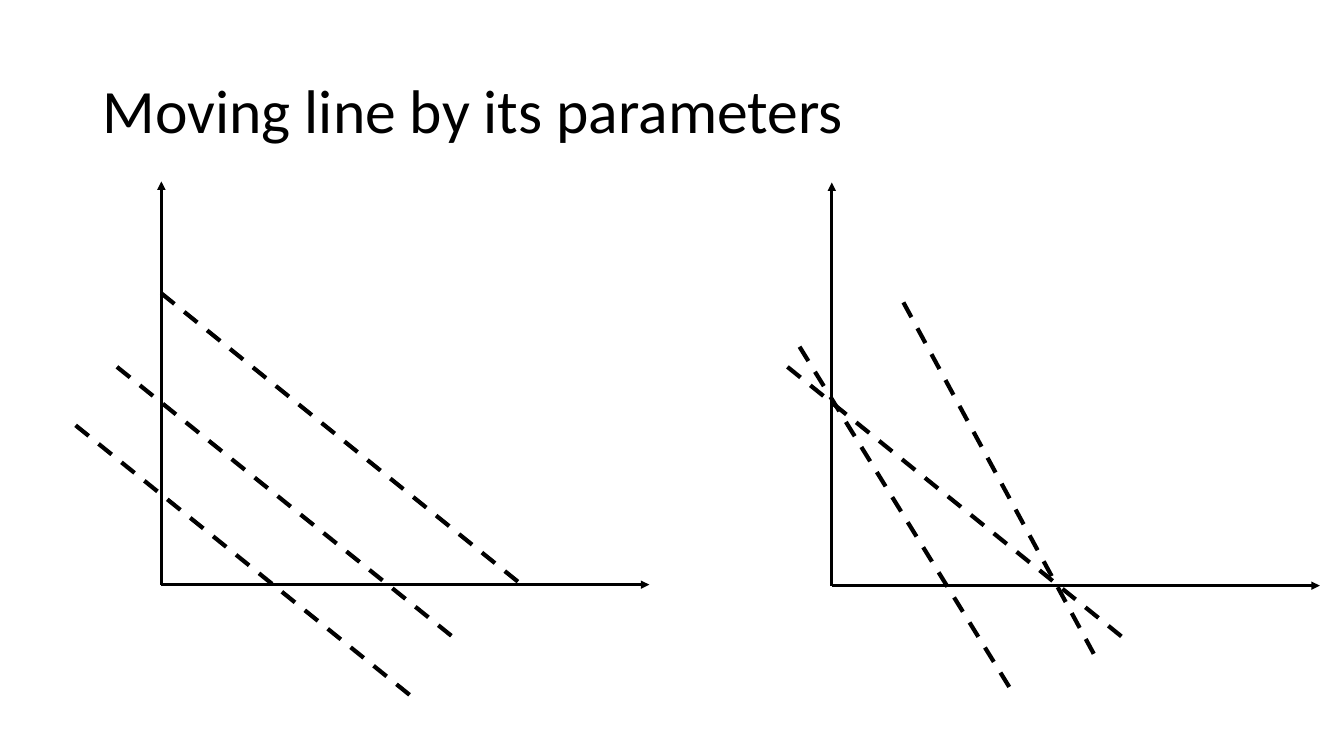
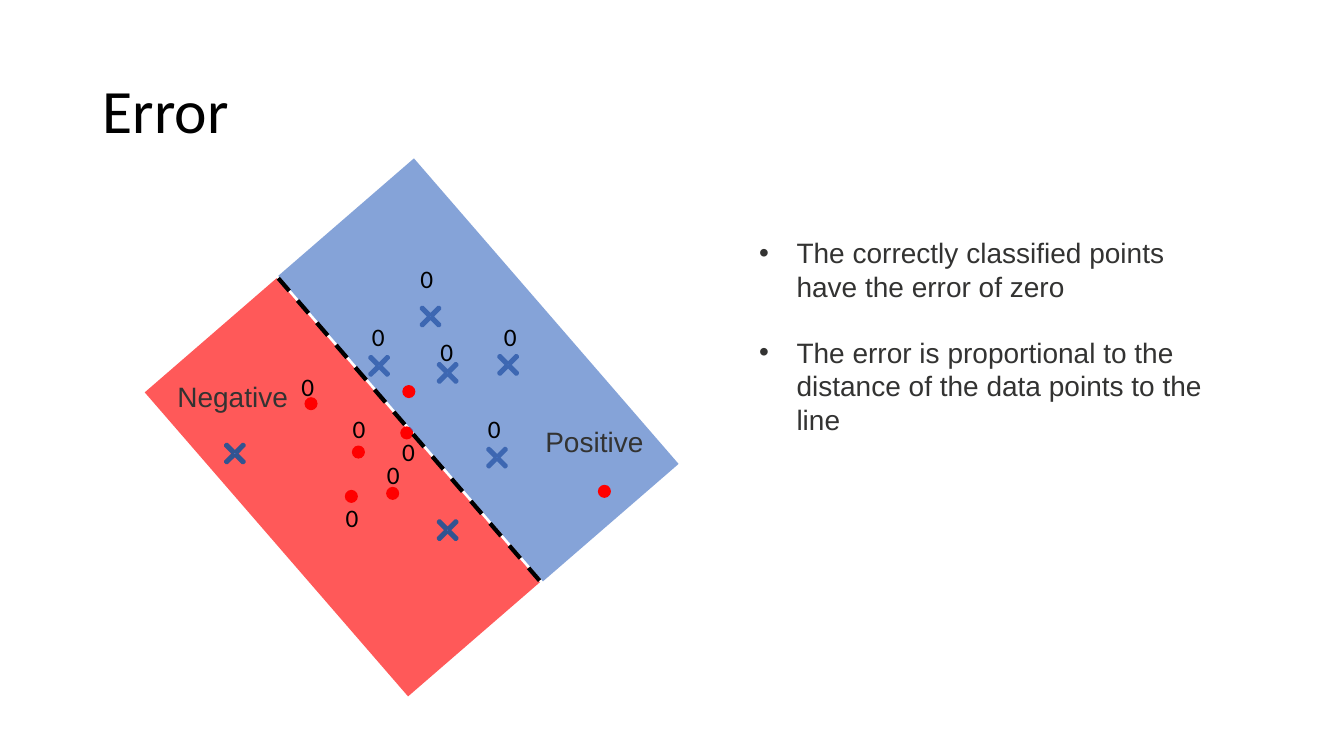
import pptx
import pptx.util
import pptx.dml.color
import pptx.enum.dml
import pptx.enum.shapes
import pptx.enum.text
import pptx.oxml
import pptx.oxml.ns

Inches, Pt = pptx.util.Inches, pptx.util.Pt
SHAPE = pptx.enum.shapes.MSO_SHAPE
AUTO_SIZE = pptx.enum.text.MSO_AUTO_SIZE
ANCHOR = pptx.enum.text.MSO_ANCHOR
ALIGN = pptx.enum.text.PP_ALIGN

# Shared look
BLACK, GREY, BLUE, NAVY, RED = "000000", "333332", "4472C4", "325491", "FF0000"
TITLE_BOX = (0.92, 0.4, 11.5, 1.45)
TITLE_ONLY, TITLE_AND_BODY = 5, 1

# Slide 1: two pairs of axes, each with its lines (x1, y1, x2, y2)
AXIS_UP, AXIS_RIGHT = 4, 4.84
PANELS = [
    ((1.6, 5.8), [(1.16, 3.64, 4.53, 6.35),
                  (0.75, 4.22, 4.12, 6.94),
                  (1.6, 2.91, 5.21, 5.83)]),
    ((8.25, 5.81), [(7.81, 3.64, 11.18, 6.36),
                    (8.96, 3, 10.85, 6.49),
                    (7.93, 3.44, 10.05, 6.88)]),
]

# Slide 2: regions, points (left, top) and their error labels
CROSS, DOT, TILT = 0.34, 0.13, 49.1
CROSSES_BELOW = [(4.1, 2.97), (4.27, 3.53), (4.87, 3.45), (4.76, 4.37), (3.59, 3.46)]
DOTS_BELOW = [(3.97, 4.23), (3.02, 3.94), (3.83, 4.83), (3.42, 4.86), (3.49, 4.42)]
CROSSES_ABOVE = [(4.27, 5.09), (2.16, 4.33)]
DOTS_ABOVE = [(3.99, 3.82), (5.93, 4.81)]
REGIONS = [((2.74, 2.78, 4.01, 1.78), BLUE), ((1.4, 3.97, 3.99, 1.73), RED)]
BOUNDARY = (2.76, 2.76, 5.36, 5.77)
REGION_LABELS = [("Positive", 5.31, 4.16), ("Negative", 1.66, 3.72)]
ZEROS = [(4.07, 2.56), (4.27, 3.29), (4.9, 3.14), (4.74, 4.05), (3.59, 3.14),
         (3.4, 4.05), (2.89, 3.63), (3.74, 4.51), (3.89, 4.28), (3.33, 4.93)]
BULLETS = [
    "The correctly classified points have the error of zero",
    "The error is proportional to the distance of the data points to the line",
]
BULLET_BOX = (7.42, 2.29, 4.62, 2.43)


def rgb(color):
    return pptx.dml.color.RGBColor.from_string(color)


def inches(values):
    return [Inches(v) for v in values]


def place(sp, box):
    sp.left, sp.top, sp.width, sp.height = inches(box)


def add_run(p, text, size, font, color):
    r = p.add_run()
    r.text = text
    r.font.size, r.font.name = Pt(size), font
    r.font.color.rgb = rgb(color)


def add_child(parent, tag, **attributes):
    child = pptx.oxml.parse_xml(f"<a:{tag} {pptx.oxml.ns.nsdecls('a')}/>")
    for name, value in attributes.items():
        child.set(name, value)
    parent.append(child)


def add_slide(prs, layout, title):
    s = prs.slides.add_slide(prs.slide_layouts[layout])
    place(s.shapes.title, TITLE_BOX)
    tf = s.shapes.title.text_frame
    tf.auto_size, tf.vertical_anchor = AUTO_SIZE.NONE, ANCHOR.MIDDLE
    p = tf.paragraphs[0]
    p.alignment, p.line_spacing = ALIGN.LEFT, 0.9
    add_run(p, title, 44, "Calibri", BLACK)
    return s


def add_line(s, ends, width, dashed=False, arrow=False):
    line = s.shapes.add_connector(pptx.enum.shapes.MSO_CONNECTOR.STRAIGHT, *inches(ends))
    line.line.color.rgb = rgb(BLACK)
    line.line.width = Pt(width)
    if dashed:
        line.line.dash_style = pptx.enum.dml.MSO_LINE.DASH
    if arrow:
        add_child(line.line._get_or_add_ln(), "tailEnd", type="triangle")
    add_child(line._element.spPr, "effectLst")


def add_shape(s, kind, box, fill, outline=None):
    sp = s.shapes.add_shape(kind, *inches(box))
    sp.shadow.inherit = False
    sp.fill.solid()
    sp.fill.fore_color.rgb = rgb(fill)
    if outline:
        sp.line.color.rgb = rgb(outline)
        sp.line.width = Pt(2)
    else:
        sp.line.fill.background()
    return sp


def add_crosses(s, points):
    for x, y in points:
        sp = add_shape(s, SHAPE.MATH_MULTIPLY, (x, y, CROSS, CROSS), BLUE, NAVY)
        sp.adjustments[0] = 0.066


def add_dots(s, points):
    for x, y in points:
        add_shape(s, SHAPE.OVAL, (x, y, DOT, DOT), RED)


def add_label(s, text, box, size, font, color):
    tf = s.shapes.add_textbox(*inches(box)).text_frame
    tf.word_wrap = True
    add_run(tf.paragraphs[0], text, size, font, color)


def build_parameters(prs):
    s = add_slide(prs, TITLE_ONLY, "Moving line by its parameters")
    for (x, y), lines in PANELS:
        add_line(s, (x, y, x, y - AXIS_UP), 2, arrow=True)
        add_line(s, (x, y, x + AXIS_RIGHT, y), 2, arrow=True)
        for ends in lines:
            add_line(s, ends, 3, dashed=True)


def build_error(prs):
    s = add_slide(prs, TITLE_AND_BODY, "Error")

    # Bullet list
    body = s.placeholders[1]
    place(body, BULLET_BOX)
    tf = body.text_frame
    tf.auto_size, tf.vertical_anchor = AUTO_SIZE.NONE, ANCHOR.TOP
    for i, text in enumerate(BULLETS):
        p = tf.add_paragraph() if i else tf.paragraphs[0]
        p.space_before = Pt(23 if i else 0)
        pPr = p._p.get_or_add_pPr()
        pPr.set("marL", str(Inches(0.38)))
        pPr.set("indent", str(Inches(-0.37)))
        add_run(p, text, 20, "Arial", GREY)

    # Points under the translucent regions
    add_crosses(s, CROSSES_BELOW)
    add_dots(s, DOTS_BELOW)

    # Regions and the line between them
    for box, color in REGIONS:
        sp = add_shape(s, SHAPE.RECTANGLE, box, color)
        sp.rotation = TILT
        fill_color = sp._element.spPr.find(".//" + pptx.oxml.ns.qn("a:srgbClr"))
        add_child(fill_color, "alpha", val="65000")
    add_line(s, BOUNDARY, 3, dashed=True)

    # Labels and the points on top
    for text, x, y in REGION_LABELS:
        add_label(s, text, (x, y, 1.58, 0.43), 20, "Arial", GREY)
    for x, y in ZEROS:
        add_label(s, "0", (x, y, 0.37, 0.4), 18, "Calibri", BLACK)
    add_crosses(s, CROSSES_ABOVE)
    add_dots(s, DOTS_ABOVE)


def main():
    prs = pptx.Presentation()
    prs.slide_width, prs.slide_height = Inches(13.33), Inches(7.5)
    build_parameters(prs)
    build_error(prs)
    prs.save("out.pptx")


if __name__ == "__main__":
    main()
